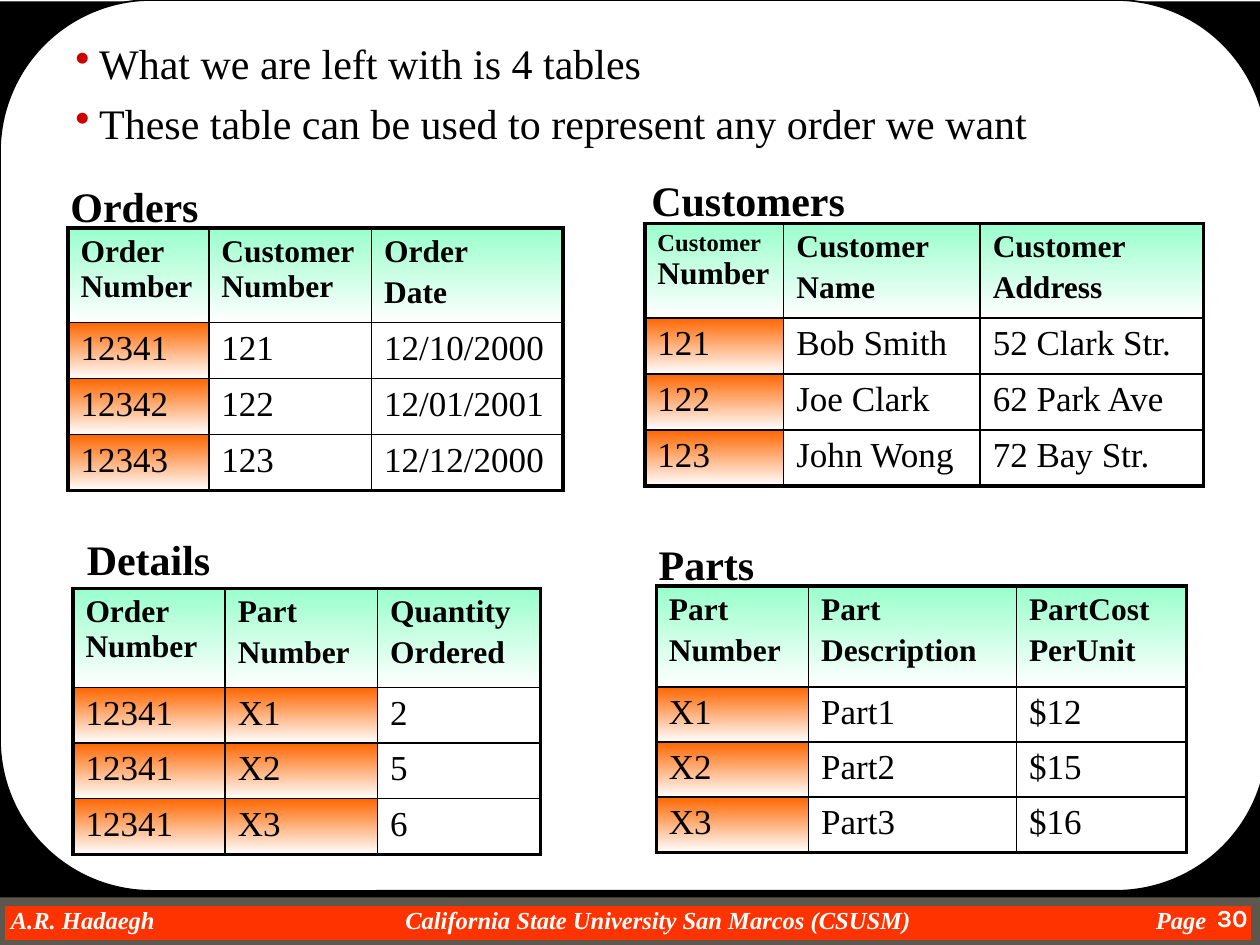
from lxml import etree
from pptx import Presentation
from pptx.dml.color import RGBColor
from pptx.enum.shapes import MSO_SHAPE
from pptx.enum.text import PP_ALIGN
from pptx.oxml.ns import qn
from pptx.util import Cm, Pt

RECT = MSO_SHAPE.RECTANGLE
ROUNDED = MSO_SHAPE.ROUNDED_RECTANGLE
LEFT, RIGHT = PP_ALIGN.LEFT, PP_ALIGN.RIGHT

BLACK, WHITE = "000000", "FFFFFF"
MINT, ORANGE = "99FFCC", "FF6600"
BULLET_RED, FOOTER_RED, FOOTER_EDGE = "CC0000", "FF3300", "5E574E"
SERIF, SANS = "Times New Roman", "Karla"
OUTER, INNER = 2.25, 1


def rgb(value):
    return RGBColor.from_string(value)


class Deck:
    def __init__(self, width, height):
        self.prs = Presentation()
        self.prs.slide_width, self.prs.slide_height = Cm(width), Cm(height)
        self.s = self.prs.slides.add_slide(self.prs.slide_layouts[6])

    def run(self, p, text, size, bold=False, italic=False, color=BLACK, font=SERIF):
        r = p.add_run()
        r.text = text
        r.font.size, r.font.name = Pt(size), font
        r.font.bold, r.font.italic = bold, italic
        r.font.color.rgb = rgb(color)

    def shape(self, kind, x, y, w, h, fill, line=None, weight=1):
        sp = self.s.shapes.add_shape(kind, Cm(x), Cm(y), Cm(w), Cm(h))
        sp.shadow.inherit = False
        sp.fill.solid()
        sp.fill.fore_color.rgb = rgb(fill)
        if line:
            sp.line.color.rgb = rgb(line)
            sp.line.width = Pt(weight)
        else:
            sp.line.fill.background()
        return sp

    def frame(self, x, y, w, h, wrap=True):
        tf = self.s.shapes.add_textbox(Cm(x), Cm(y), Cm(w), Cm(h)).text_frame
        tf.word_wrap = wrap
        return tf

    def text(self, x, y, w, h, text, size, align=LEFT, wrap=True, **style):
        p = self.frame(x, y, w, h, wrap).paragraphs[0]
        p.alignment = align
        self.run(p, text, size, **style)

    def tabbed(self, x, y, w, h, parts, stops, size, **style):
        tf = self.frame(x, y, w, h)
        tf.margin_left = tf.margin_right = tf.margin_top = tf.margin_bottom = 0
        p = tf.paragraphs[0]
        tabs = etree.SubElement(p._p.get_or_add_pPr(), qn("a:tabLst"))
        for pos, align in stops:
            etree.SubElement(tabs, qn("a:tab"), pos=str(Cm(pos)), algn=align)
        self.run(p, "\t".join(parts), size, **style)

    def bullets(self, x, y, w, h, items, size):
        tf = self.frame(x, y, w, h)
        for i, item in enumerate(items):
            p = tf.add_paragraph() if i else tf.paragraphs[0]
            pPr = p._p.get_or_add_pPr()
            pPr.set("marL", str(Cm(0.48)))
            pPr.set("indent", str(Cm(-0.48)))
            color = etree.SubElement(pPr, qn("a:buClr"))
            etree.SubElement(color, qn("a:srgbClr"), val=BULLET_RED)
            etree.SubElement(pPr, qn("a:buChar"), char="•")
            if i:
                p.space_before = Pt(5.5)
            self.run(p, item, size)

    def borders(self, cell, widths):
        tcPr = cell._tc.get_or_add_tcPr()
        for i, (side, width) in enumerate(zip("LRTB", widths)):
            ln = etree.Element(qn(f"a:ln{side}"), w=str(Pt(width)))
            fill = etree.SubElement(ln, qn("a:solidFill"))
            etree.SubElement(fill, qn("a:srgbClr"), val=BLACK)
            tcPr.insert(i, ln)

    def gradient(self, cell, color):
        cell.fill.gradient()
        cell.fill.gradient_angle = 270
        for stop, value in zip(cell.fill.gradient_stops, (color, WHITE)):
            stop.color.rgb = rgb(value)

    def table(self, x, y, widths, head_h, row_h, rows, keys=1):
        """The first row is the heading; the first `keys` columns are tinted."""
        n_rows, n_cols = len(rows), len(widths)
        height = head_h + row_h * (n_rows - 1)
        tbl = self.s.shapes.add_table(n_rows, n_cols, Cm(x), Cm(y),
                                      Cm(sum(widths)), Cm(height)).table
        tbl.first_row = tbl.horz_banding = False
        for col, width in zip(tbl.columns, widths):
            col.width = Cm(width)
        for i, values in enumerate(rows):
            tbl.rows[i].height = Cm(row_h if i else head_h)
            for j, value in enumerate(values):
                cell = tbl.cell(i, j)
                self.cell_text(cell, value, 20 if i else 18, bold=i == 0)
                if i == 0:
                    self.gradient(cell, MINT)
                elif j < keys:
                    self.gradient(cell, ORANGE)
                else:
                    cell.fill.background()
                edges = (j == 0, j == n_cols - 1, i == 0, i == n_rows - 1)
                self.borders(cell, [OUTER if e else INNER for e in edges])

    def cell_text(self, cell, value, size, bold):
        """A string holds one paragraph per line; a tuple holds sized runs."""
        paragraphs = ([[(line, size)] for line in value.split("\n")]
                      if isinstance(value, str) else [value])
        tf = cell.text_frame
        for i, runs in enumerate(paragraphs):
            p = tf.add_paragraph() if i else tf.paragraphs[0]
            if i:
                p.space_before = Pt(3.6)
            for text, run_size in runs:
                self.run(p, text, run_size, bold=bold)


# Heading, its place, then table place, column widths, row heights, rows, keys
TABLES = [
    ("Orders", (1.17, 3.51, 3.1), (1.37, 4.6), (2.84, 3.28, 3.86), (1.9, 1.13), [
        ("Order Number", "Customer Number", "Order\nDate"),
        ("12341", "121", "12/10/2000"),
        ("12342", "122", "12/01/2001"),
        ("12343", "123", "12/12/2000")], 1),
    ("Customers", (12.88, 3.4, 4.42), (13, 4.5), (2.8, 3.96, 4.5), (1.9, 1.13), [
        ((("Customer ", 14), ("Number", 18)), "Customer\nName", "Customer\nAddress"),
        ("121", "Bob Smith", "52 Clark Str."),
        ("122", "Joe Clark", "62 Park Ave"),
        ("123", "John Wong", "72 Bay Str.")], 1),
    ("Details", (1.5, 10.64, 3), (1.47, 11.86), (3.07, 3.07, 3.28), (2, 1.12), [
        ("Order Number", "Part\nNumber", "Quantity\nOrdered"),
        ("12341", "X1", "2"),
        ("12341", "X2", "5"),
        ("12341", "X3", "6")], 2),
    ("Parts", (13.03, 10.74, 2.44), (13.23, 11.81), (3.07, 4.19, 3.43), (2.04, 1.11), [
        ("Part\nNumber", "Part\nDescription", "PartCost\nPerUnit"),
        ("X1", "Part1", "$12"),
        ("X2", "Part2", "$15"),
        ("X3", "Part3", "$16")], 1),
]


def main():
    deck = Deck(25.4, 19.05)

    # Footer bar and rounded page
    deck.shape(RECT, 0, 18.16, 25.32, 0.89, FOOTER_RED, FOOTER_EDGE, 6)
    deck.tabbed(0.22, 18.24, 24.37, 0.58,
                ["A.R. Hadaegh", "California State University San Marcos (CSUSM)", "Page"],
                [(13.05, "ctr"), (24.1, "r")], 14, bold=True, italic=True, color=WHITE)
    deck.shape(RECT, 0, 0.03, 25.4, 18.06, BLACK)
    page = deck.shape(ROUNDED, 0, 0, 25.55, 17.96, WHITE, BLACK)
    page.adjustments[0] = 0.17
    deck.text(23.5, 18.08, 1.9, 0.97, "30", 14, RIGHT, bold=True, color=WHITE, font=SANS)

    # Points
    deck.bullets(1.27, 0.64, 24.59, 2.49,
                 ["What we are left with is 4 tables",
                  "These table can be used to represent any order we want"], 24)

    # Tables with their headings
    for title, (tx, ty, tw), (x, y), widths, (head_h, row_h), rows, keys in TABLES:
        deck.table(x, y, widths, head_h, row_h, rows, keys)
        deck.text(tx, ty, tw, 1.27, title, 24, wrap=False, bold=True)

    deck.prs.save("out.pptx")


if __name__ == "__main__":
    main()
